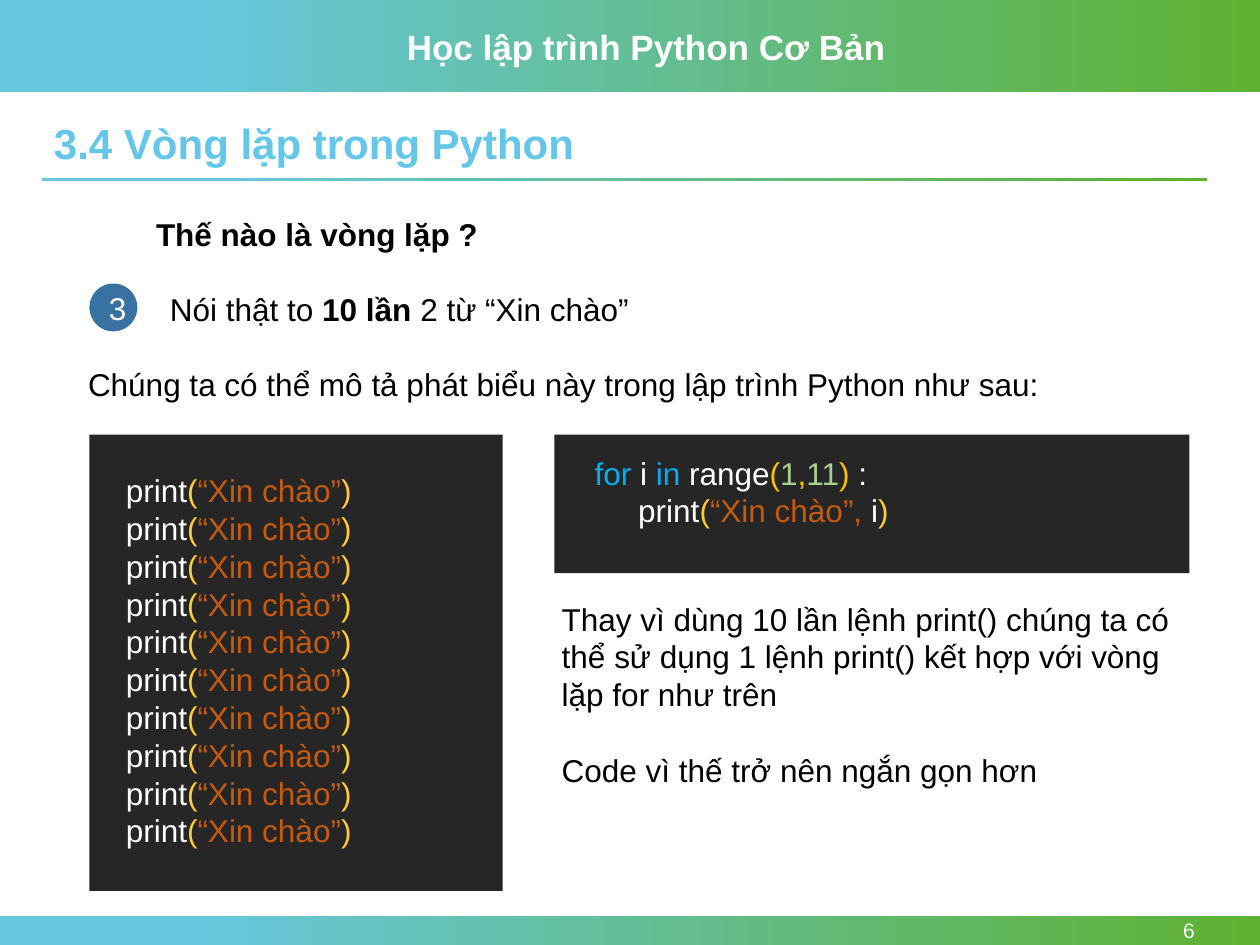
from pptx import Presentation
from pptx.dml.color import RGBColor
from pptx.enum.shapes import MSO_SHAPE
from pptx.enum.text import MSO_ANCHOR, PP_ALIGN
from pptx.util import Inches, Pt

RECT, OVAL = MSO_SHAPE.RECTANGLE, MSO_SHAPE.OVAL
TOP, MIDDLE = MSO_ANCHOR.TOP, MSO_ANCHOR.MIDDLE
LEFT, CENTER, RIGHT = PP_ALIGN.LEFT, PP_ALIGN.CENTER, PP_ALIGN.RIGHT

WHITE = RGBColor(0xFF, 0xFF, 0xFF)
BLACK = RGBColor(0x00, 0x00, 0x00)
SKY = RGBColor(0x67, 0xC7, 0xDF)
GREEN = RGBColor(0x5E, 0xB1, 0x30)
TITLE_BLUE = RGBColor(0x64, 0xC7, 0xE9)
BADGE_BLUE = RGBColor(0x37, 0x72, 0xA2)
EDITOR = RGBColor(0x26, 0x26, 0x26)
KEYWORD = RGBColor(0x00, 0xB0, 0xF0)
BRACKET = RGBColor(0xFE, 0xCC, 0x36)
AMBER = RGBColor(0xFF, 0xC0, 0x00)
STRING = RGBColor(0xC5, 0x5A, 0x11)
NUMBER = RGBColor(0xA9, 0xD1, 0x8E)

# Boxes: left, top, width, height in inches
BANDS = [(0, 0, 10, 0.73), (0, 7.27, 10, 0.23), (0.33, 1.41, 9.25, 0.03)]
PANELS = [(0.71, 3.45, 3.28, 3.62), (4.4, 3.45, 5.04, 1.1)]
BADGE = (0.71, 2.25, 0.38, 0.38)

# Runs: text, colour, bold (optional)
PRINT_LINE = [("print", WHITE), ("(", BRACKET), ("“Xin chào”", STRING), (")", BRACKET)]
FOR_LOOP = [
    [("for ", KEYWORD), ("i ", WHITE), ("in ", KEYWORD), ("range", WHITE),
     ("(", AMBER), ("1", NUMBER), (",", AMBER), ("11", NUMBER), (") ", AMBER), (":", WHITE)],
    [("     print", WHITE), ("(", BRACKET), ("“Xin chào”, ", STRING), ("i", WHITE),
     (")", BRACKET)],
]
HEADER = [[("Học lập trình Python Cơ Bản", WHITE, True)]]
TITLE = [[("3.4 Vòng lặp trong Python", TITLE_BLUE, True)]]
PAGE_NUMBER = [[("6", WHITE)]]
BODY_TEXTS = [
    ((1.14, 1.66, 7.73, 0.4), [[("Thế nào là vòng lặp ?", BLACK, True)]]),
    ((1.25, 2.25, 4.77, 0.4), [[("Nói thật to ", BLACK), ("10 lần ", BLACK, True),
                                ("2 từ “Xin chào”", BLACK)]]),
    ((0.6, 2.85, 8.75, 0.4), [[
        ("Chúng ta có thể mô tả phát biểu này trong lập trình Python như sau:", BLACK)]]),
    ((0.9, 3.69, 2.32, 3.13), [PRINT_LINE] * 10),
    ((4.62, 3.55, 3.75, 0.71), FOR_LOOP),
    ((4.36, 4.71, 5.09, 1.01), [[
        ("Thay vì dùng 10 lần lệnh print() chúng ta có thể sử dụng 1 lệnh print() "
         "kết hợp với vòng lặp for như trên", BLACK)]]),
    ((4.36, 5.91, 5.09, 0.4), [[("Code vì thế trở nên ngắn gọn hơn", BLACK)]]),
]


def write(tf, lines, size=18, align=LEFT, anchor=TOP, spacing=None):
    tf.word_wrap = True
    tf.vertical_anchor = anchor
    for i, runs in enumerate(lines):
        p = tf.add_paragraph() if i else tf.paragraphs[0]
        p.alignment = align
        if spacing:
            p.line_spacing = spacing
        for text, color, *bold in runs:
            r = p.add_run()
            r.text = text
            r.font.name = "Arial"
            r.font.size = Pt(size)
            r.font.bold = bool(bold)
            r.font.color.rgb = color


def add_text(s, box, lines, **style):
    write(s.shapes.add_textbox(*map(Inches, box)).text_frame, lines, **style)


def add_block(s, kind, box, color=None):
    """Add a borderless shape; without a colour it gets the sky-to-green gradient."""
    sp = s.shapes.add_shape(kind, *map(Inches, box))
    sp.shadow.inherit = False
    sp.line.fill.background()
    if color is not None:
        sp.fill.solid()
        sp.fill.fore_color.rgb = color
        return sp
    sp.fill.gradient()
    sp.fill.gradient_angle = 0
    for stop, position, shade in zip(sp.fill.gradient_stops, (0.15, 1), (SKY, GREEN)):
        stop.position = position
        stop.color.rgb = shade
    return sp


def main():
    prs = Presentation()
    prs.slide_width, prs.slide_height = Inches(10), Inches(7.5)
    s = prs.slides.add_slide(prs.slide_layouts[6])

    for box in BANDS:
        add_block(s, RECT, box)
    add_text(s, (3.13, 0.15, 4.05, 0.44), HEADER, size=20)
    add_text(s, (8.66, 7.27, 0.92, 0.23), PAGE_NUMBER, size=12, align=RIGHT, anchor=MIDDLE)
    add_text(s, (0.33, 0.93, 9.25, 0.46), TITLE, size=24, spacing=0.9)

    badge = add_block(s, OVAL, BADGE, BADGE_BLUE)
    write(badge.text_frame, [[("3", WHITE)]], align=CENTER, anchor=MIDDLE)
    for box in PANELS:
        add_block(s, RECT, box, EDITOR)
    for box, lines in BODY_TEXTS:
        add_text(s, box, lines)

    prs.save("out.pptx")


if __name__ == "__main__":
    main()
